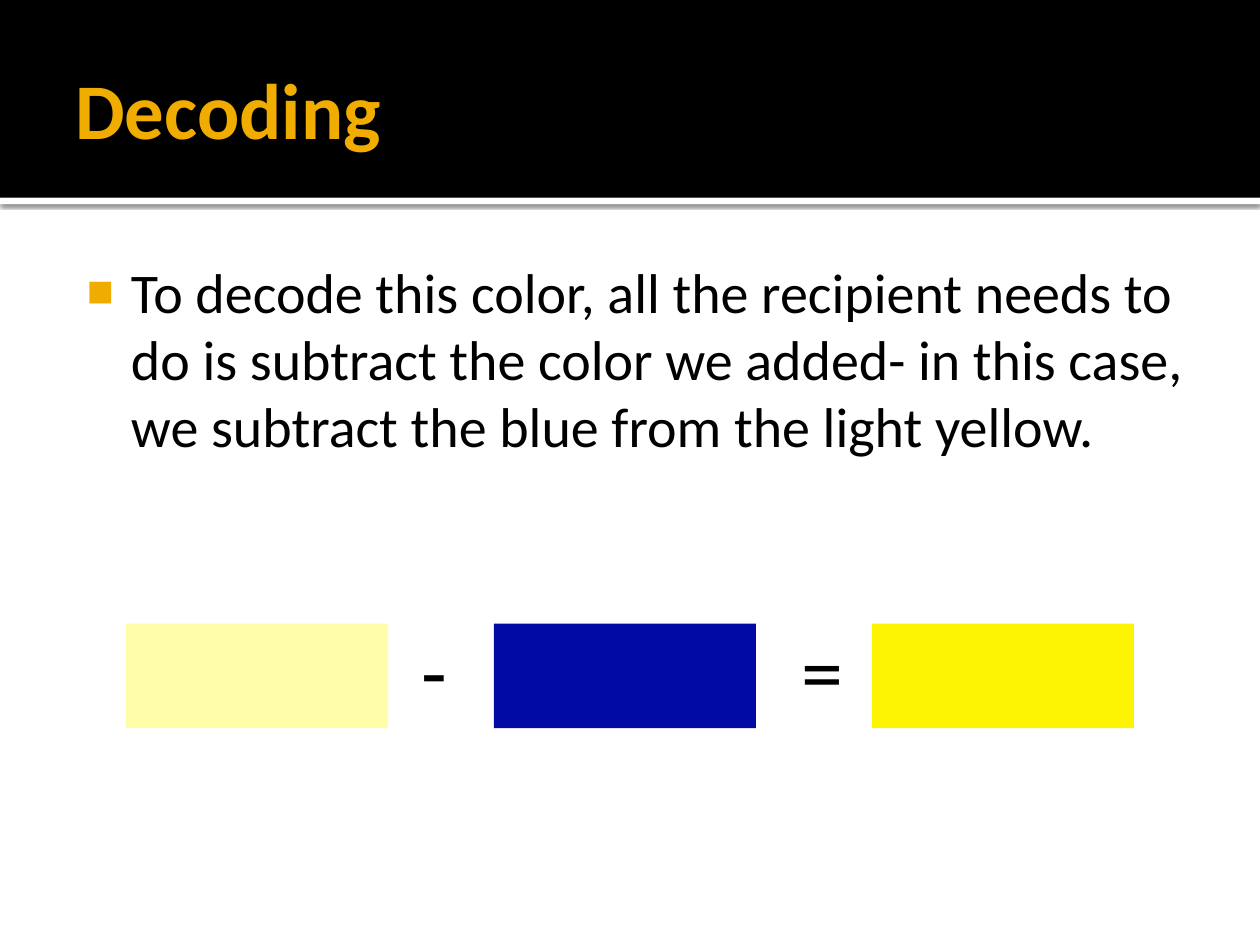
from lxml import etree
from pptx import Presentation
from pptx.dml.color import RGBColor
from pptx.enum import shapes, text
from pptx.oxml.ns import qn
from pptx.util import Inches, Pt

FONT = "Calibri"
COLORS = {
    "black": "000000", "white": "FFFFFF", "gold": "F0AD00",
    "light_yellow": "FFFEA8", "blue": "020AA5", "yellow": "FDF403",
}
TITLE = "Decoding"
BODY = ("To decode this color, all the recipient needs to do is subtract the color "
        "we added- in this case, we subtract the blue from the light yellow.")

SWATCHES = [("light_yellow", 1), ("blue", 3.92), ("yellow", 6.92)]
OPERATORS = [("-", 3.25), ("=", 6.26)]
SWATCH_TOP, SWATCH_WIDTH, SWATCH_HEIGHT = 4.95, 2.08, 0.83
OPERATOR_TOP, OPERATOR_WIDTH, OPERATOR_HEIGHT = 4.86, 0.42, 0.91
BANNER_HEIGHT, RULE_HEIGHT = 1.57, 0.05


def add_rectangle(slide, color, left, top, width, height):
    """Add a plain filled rectangle, measured in inches."""
    shape = slide.shapes.add_shape(
        shapes.MSO_SHAPE.RECTANGLE, *map(Inches, (left, top, width, height)))
    shape.shadow.inherit = False
    shape.fill.solid()
    shape.fill.fore_color.rgb = RGBColor.from_string(COLORS[color])
    shape.line.fill.background()
    return shape


def add_text(slide, wording, box, size, color="black", bold=False,
             margins=(0.1, 0.05, 0.1, 0.05), anchor=text.MSO_ANCHOR.TOP):
    """Add a one-paragraph text box and return its paragraph."""
    frame = slide.shapes.add_textbox(*map(Inches, box)).text_frame
    frame.word_wrap = True
    frame.vertical_anchor = anchor
    (frame.margin_left, frame.margin_top,
     frame.margin_right, frame.margin_bottom) = map(Inches, margins)
    frame.text = wording
    paragraph = frame.paragraphs[0]
    font = paragraph.runs[0].font
    font.name, font.size, font.bold = FONT, Pt(size), bold
    font.color.rgb = RGBColor.from_string(COLORS[color])
    return paragraph


def add_bullet(paragraph, color, percent, margin, indent):
    """Give a paragraph a square bullet with a hanging indent."""
    properties = paragraph._p.get_or_add_pPr()
    properties.set("marL", str(Inches(margin)))
    properties.set("indent", str(Inches(indent)))
    bullet_color = etree.SubElement(properties, qn("a:buClr"))
    etree.SubElement(bullet_color, qn("a:srgbClr"), val=COLORS[color])
    etree.SubElement(properties, qn("a:buSzPct"), val=str(percent * 1000))
    etree.SubElement(properties, qn("a:buFont"), typeface="Arial")
    etree.SubElement(properties, qn("a:buChar"), char="■")


def add_shadow(shape, color, opacity, blur, distance):
    """Cast a soft shadow straight down from a shape."""
    effects = shape._element.spPr.find(qn("a:effectLst"))
    shadow = etree.SubElement(
        effects, qn("a:outerShdw"), blurRad=str(Pt(blur)), dist=str(Pt(distance)),
        dir="5400000", algn="tl", rotWithShape="0")
    shadow_color = etree.SubElement(shadow, qn("a:srgbClr"), val=COLORS[color])
    etree.SubElement(shadow_color, qn("a:alpha"), val=str(opacity * 1000))


presentation = Presentation()
presentation.slide_width, presentation.slide_height = Inches(10), Inches(7.5)
slide = presentation.slides.add_slide(presentation.slide_layouts[6])

rule = add_rectangle(slide, "white", 0, BANNER_HEIGHT, 10, RULE_HEIGHT)
add_shadow(rule, "black", opacity=60, blur=2.5, distance=0.8)
add_rectangle(slide, "black", 0, 0, 10, BANNER_HEIGHT)

add_text(slide, TITLE, (0.5, 0.17, 9, 1.37), 45, "gold", bold=True,
         margins=(0.1, 0.05, 0.05, 0.05), anchor=text.MSO_ANCHOR.MIDDLE)
body = add_text(slide, BODY, (0.5, 1.94, 9, 5.06), 32,
                margins=(0.06, 0.1, 0.1, 0.05))
add_bullet(body, "gold", percent=80, margin=0.48, indent=-0.35)

for color, left in SWATCHES:
    add_rectangle(slide, color, left, SWATCH_TOP, SWATCH_WIDTH, SWATCH_HEIGHT)
for symbol, left in OPERATORS:
    add_text(slide, symbol, (left, OPERATOR_TOP, OPERATOR_WIDTH, OPERATOR_HEIGHT), 48)

presentation.save("out.pptx")
